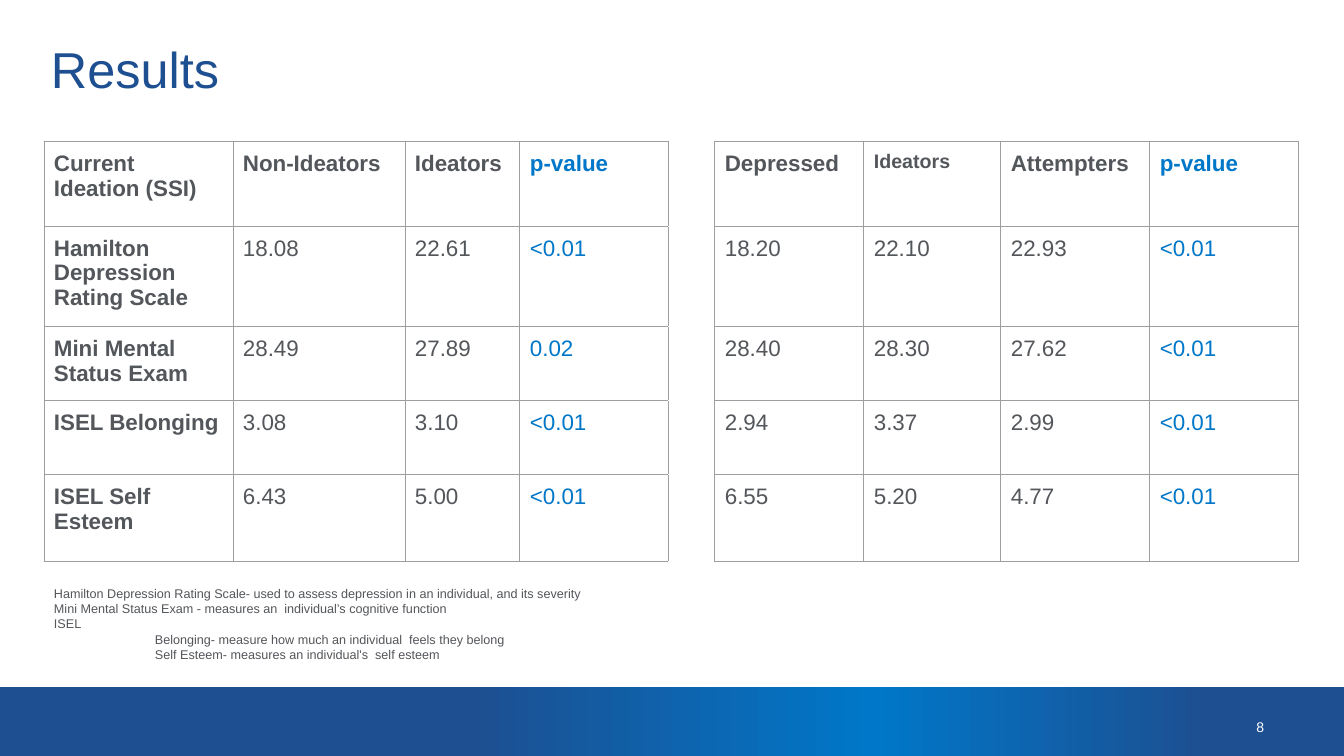
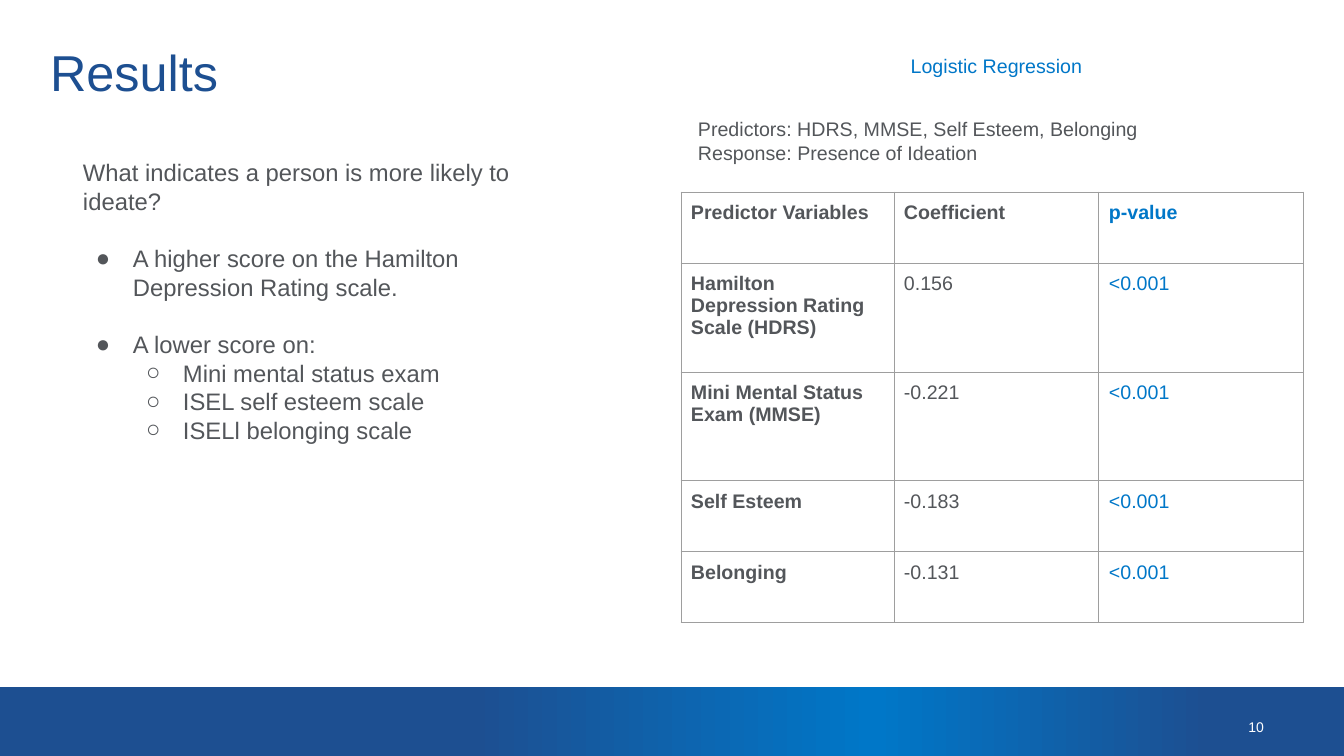
import lxml.etree
import pptx
import pptx.dml.color
import pptx.enum.shapes
import pptx.enum.text
import pptx.oxml.ns
import pptx.util

SCALE = 12192000 / 1344
FONT = "Arial"
COLORS = {
    "navy": "1D4F91",
    "blue": "0077C8",
    "gray": "53565A",
    "rule": "9E9E9E",
    "white": "FFFFFF",
}
BAND_STOPS = [(0, "navy"), (35, "navy"), (65, "blue"), (90, "navy"), (100, "navy")]
ALIGN = pptx.enum.text.PP_ALIGN
ANCHOR = pptx.enum.text.MSO_ANCHOR


def px(length):
    return pptx.util.Emu(round(length * SCALE))


def rgb(name):
    return pptx.dml.color.RGBColor.from_string(COLORS[name])


def add_xml(parent, tag, **attributes):
    return lxml.etree.SubElement(parent, pptx.oxml.ns.qn(tag), attributes)


class Deck:
    def __init__(self):
        self.presentation = pptx.Presentation()
        self.presentation.slide_width = px(1344)
        self.presentation.slide_height = px(756)
        self.slide = None

    def add_slide(self, title, title_box, number):
        layout = self.presentation.slide_layouts[5]
        self.slide = self.presentation.slides.add_slide(layout)
        self.band()
        self.text(number, (1197, 698, 80, 58), 10, "white", ALIGN.RIGHT,
                  ANCHOR.MIDDLE, (13, 7))
        self.title(title, title_box)

    def band(self):
        band = self.slide.shapes.add_shape(
            pptx.enum.shapes.MSO_SHAPE.RECTANGLE, px(0), px(687), px(1344), px(69))
        band.shadow.inherit = False
        band.line.fill.background()
        band.fill.gradient()
        band.fill.gradient_angle = 0
        stops = band.element.spPr.find(".//" + pptx.oxml.ns.qn("a:gsLst"))
        for stop in list(stops):
            stops.remove(stop)
        for position, color in BAND_STOPS:
            stop = add_xml(stops, "a:gs", pos=str(position * 1000))
            add_xml(stop, "a:srgbClr", val=COLORS[color])

    def title(self, title, box):
        heading = self.slide.shapes.title
        heading.left, heading.top, heading.width, heading.height = map(px, box)
        frame = heading.text_frame
        frame.text = title
        frame.auto_size = pptx.enum.text.MSO_AUTO_SIZE.NONE
        self.frame(frame, ANCHOR.BOTTOM, (0, 5))
        self.format(frame, 36, "navy", align=ALIGN.LEFT)
        frame.paragraphs[0].line_spacing = 0.8

    def frame(self, frame, anchor, inset):
        frame.word_wrap = True
        frame.vertical_anchor = anchor
        frame.margin_left = frame.margin_right = px(inset[0])
        frame.margin_top = frame.margin_bottom = px(inset[1])

    def format(self, frame, size, color, bold=False, align=ALIGN.LEFT):
        for paragraph in frame.paragraphs:
            paragraph.alignment = align
            for run in paragraph.runs:
                run.font.name = FONT
                run.font.size = pptx.util.Pt(size)
                run.font.bold = bold
                run.font.color.rgb = rgb(color)

    def text(self, text, box, size, color="gray", align=ALIGN.LEFT,
             anchor=ANCHOR.TOP, inset=(10, 10)):
        frame = self.slide.shapes.add_textbox(*map(px, box)).text_frame
        frame.text = text
        self.frame(frame, anchor, inset)
        self.format(frame, size, color, align=align)
        return frame.paragraphs

    def indent(self, paragraph, left, hanging=0):
        properties = paragraph._p.get_or_add_pPr()
        properties.set("marL", str(px(left)))
        properties.set("indent", str(-px(hanging)))
        return properties

    def bullet(self, paragraph, level, gap):
        paragraph.level = level
        paragraph.space_before = pptx.util.Pt(gap)
        properties = self.indent(paragraph, 50 * (level + 1), 37)
        add_xml(properties, "a:buFont", typeface=FONT)
        add_xml(properties, "a:buChar", char="●○"[level])

    def border(self, cell, side, color):
        line = add_xml(cell._tc.get_or_add_tcPr(), "a:ln" + side, w="9525")
        add_xml(add_xml(line, "a:solidFill"), "a:srgbClr", val=COLORS[color])

    def table(self, rows, origin, widths, heights, size, small_headers=()):
        table = self.slide.shapes.add_table(
            len(rows), len(widths), *map(px, origin),
            px(sum(widths)), px(sum(heights))).table
        table.first_row = table.horz_banding = False
        for column, width in zip(table.columns, widths):
            column.width = px(width)
        for row, height in zip(table.rows, heights):
            row.height = px(height)
        for i, values in enumerate(rows):
            for j, value in enumerate(values):
                header = rows[0][j]
                cell = table.cell(i, j)
                cell.text = value
                cell.margin_left = cell.margin_right = px(10)
                cell.margin_top = cell.margin_bottom = px(10)
                for side in "LRTB":
                    is_gap_edge = not header and side in "TB"
                    self.border(cell, side, "white" if is_gap_edge else "rule")
                cell.fill.solid()
                cell.fill.fore_color.rgb = rgb("white")
                is_small = i == 0 and j in small_headers
                self.format(cell.text_frame, 14 if is_small else size,
                            "blue" if header == "p-value" else "gray",
                            bold=i == 0 or j == 0)


def group_comparison(deck):
    deck.add_slide("Results", (51, 24, 1145, 79), "8")
    scores = [
        ["Current Ideation (SSI)", "Non-Ideators", "Ideators", "p-value", "",
         "Depressed", "Ideators", "Attempters", "p-value"],
        ["Hamilton Depression\nRating Scale", "18.08", "22.61", "<0.01", "",
         "18.20", "22.10", "22.93", "<0.01"],
        ["Mini Mental\nStatus Exam", "28.49", "27.89", "0.02", "",
         "28.40", "28.30", "27.62", "<0.01"],
        ["ISEL Belonging", "3.08", "3.10", "<0.01", "",
         "2.94", "3.37", "2.99", "<0.01"],
        ["ISEL Self Esteem", "6.43", "5.00", "<0.01", "",
         "6.55", "5.20", "4.77", "<0.01"],
    ]
    deck.table(scores, (44, 141), [189, 172, 115, 149, 46, 149, 137, 149, 149],
               [85, 97, 74, 74, 87], 16, small_headers=(6,))
    scale_notes = deck.text("\n".join([
        "Hamilton Depression Rating Scale- used to assess depression in an individual, and its severity",
        "Mini Mental Status Exam - measures an  individual’s cognitive function",
        "ISEL",
        "Belonging- measure how much an individual  feels they belong",
        "Self Esteem- measures an individual's  self esteem",
    ]), (44, 576, 950, 97), 9)
    for subscale in scale_notes[3:]:
        deck.indent(subscale, 101)


def logistic_regression(deck):
    deck.add_slide("Results", (50, 27, 576, 79), "10")
    deck.text("Logistic Regression", (793, 44, 407, 44), 14, "blue", ALIGN.CENTER)
    findings = [
        ("A higher score on the Hamilton Depression Rating scale.", 0, 20.5),
        ("A lower score on:", 0, 20.5),
        ("Mini mental status exam", 1, 0),
        ("ISEL self esteem scale", 1, 0),
        ("ISELl belonging scale", 1, 0),
    ]
    question = "What indicates a person is more likely to ideate?"
    lines = [question] + [finding for finding, _, _ in findings]
    paragraphs = deck.text("\n".join(lines), (73, 148, 520, 308), 17)
    for paragraph, (_, level, gap) in zip(paragraphs[1:], findings):
        deck.bullet(paragraph, level, gap)
    coefficients = [
        ["Predictor Variables", "Coefficient", "p-value"],
        ["Hamilton Depression Rating Scale (HDRS)", "0.156", "<0.001"],
        ["Mini Mental Status Exam (MMSE)", "-0.221", "<0.001"],
        ["Self Esteem", "-0.183", "<0.001"],
        ["Belonging", "-0.131", "<0.001"],
    ]
    deck.table(coefficients, (681, 192), [213, 205, 205],
               [71, 109, 109, 71, 71], 14)
    deck.text("Predictors: HDRS, MMSE, Self Esteem, Belonging\n"
              "Response: Presence of Ideation", (688, 107, 611, 68), 14)


def main():
    deck = Deck()
    group_comparison(deck)
    logistic_regression(deck)
    deck.presentation.save("out.pptx")


if __name__ == "__main__":
    main()
